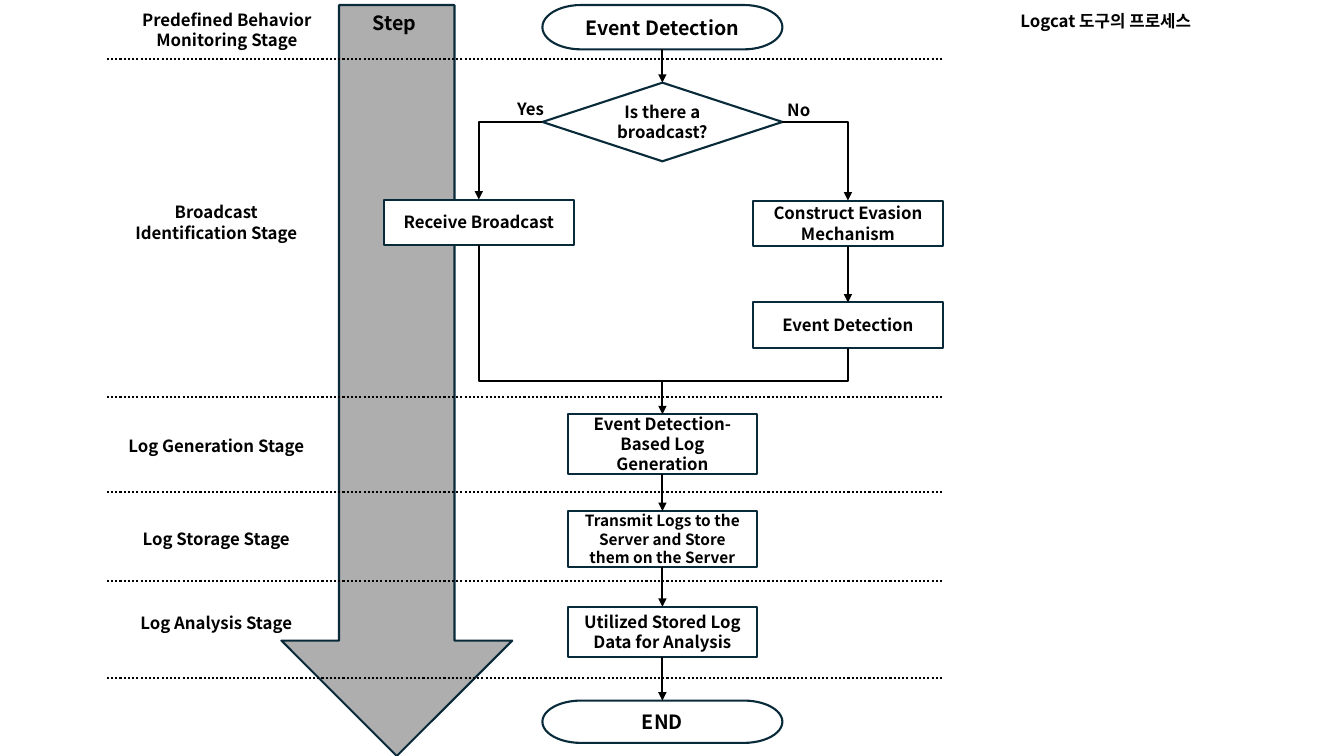
from lxml import etree
from pptx import Presentation
from pptx import util as u
from pptx.dml.color import RGBColor
from pptx.enum import dml, shapes, text
from pptx.oxml import ns

BLACK = RGBColor(0x00, 0x00, 0x00)
WHITE = RGBColor(0xFF, 0xFF, 0xFF)
NAVY = RGBColor(0x09, 0x2A, 0x39)
GREY = RGBColor(0xAE, 0xAE, 0xAE)
FONT = "Noto Sans CJK KR"
SCALE = 9144
TOP, LEFT, BOTTOM, RIGHT = range(4)
KIND = shapes.MSO_SHAPE
LINK = shapes.MSO_CONNECTOR


def px(*nums):
    return [u.Emu(n * SCALE) for n in nums]


def write(shape, words, size=12, align=text.PP_ALIGN.CENTER,
          anchor=text.MSO_ANCHOR.MIDDLE):
    frame = shape.text_frame
    frame.word_wrap = True
    frame.auto_size = text.MSO_AUTO_SIZE.NONE
    frame.vertical_anchor = anchor
    para = frame.paragraphs[0]
    para.alignment = align
    para.line_spacing = 1.0
    para.space_before = u.Pt(0)
    run = para.add_run()
    run.text = words
    font = run.font
    font.name, font.size, font.bold = FONT, u.Pt(size), True
    font.color.rgb = BLACK
    east = etree.SubElement(run._r.get_or_add_rPr(), ns.qn("a:ea"))
    east.set("typeface", FONT)


def label(slide, box, words, **form):
    write(slide.shapes.add_textbox(*px(*box)), words, **form)


def node(slide, box, words="", kind=KIND.RECTANGLE, fill=WHITE, size=12):
    shape = slide.shapes.add_shape(kind, *px(*box))
    shape.shadow.inherit = False
    shape.fill.solid()
    shape.fill.fore_color.rgb = fill
    shape.line.color.rgb = NAVY
    shape.line.width = u.Pt(1.5)
    if words:
        write(shape, words, size=size)
    return shape


def link(slide, start, end, bent=False, head=False, dash=None):
    kind = LINK.ELBOW if bent else LINK.STRAIGHT
    line = slide.shapes.add_connector(kind, *px(*start, *end))
    line.line.color.rgb = BLACK
    line.line.width = u.Pt(1.5)
    if dash:
        line.line.dash_style = dash
    props = line._element.spPr
    if bent:
        props.find(ns.qn("a:prstGeom")).set("prst", "bentConnector2")
    if head:
        tail = etree.SubElement(line.line._get_or_add_ln(), ns.qn("a:tailEnd"))
        tail.set("type", "triangle")
    etree.SubElement(props, ns.qn("a:effectLst"))
    return line


def side(shape, spot):
    x, y = shape.left // SCALE, shape.top // SCALE
    w, h = shape.width // SCALE, shape.height // SCALE
    return {TOP: (x + w // 2, y), LEFT: (x, y + h // 2),
            BOTTOM: (x + w // 2, y + h), RIGHT: (x + w, y + h // 2)}[spot]


def drop(slide, above, below):
    line = link(slide, side(above, BOTTOM), side(below, TOP), head=True)
    line.begin_connect(above, BOTTOM)
    line.end_connect(below, TOP)


def head(slide, box):
    title = slide.shapes.title
    title.left, title.top, title.width, title.height = px(*box)
    write(title, "Logcat 도구의 프로세스", align=text.PP_ALIGN.LEFT,
          anchor=text.MSO_ANCHOR.TOP)


def stages(slide, box):
    x, y, w, h = box
    node(slide, (x + 173, y, 229, h), kind=KIND.DOWN_ARROW, fill=GREY)
    label(slide, (x + 254, y + 1, 100, 34), "Step", size=14,
          align=text.PP_ALIGN.LEFT, anchor=text.MSO_ANCHOR.TOP)
    for dx, dy, wide, high, words in (
            (23, 0, 192, 49, "Predefined Behavior Monitoring Stage"),
            (11, 191, 195, 49, "Broadcast Identification Stage"),
            (11, 408, 195, 59, "Log Generation Stage"),
            (11, 500, 195, 59, "Log Storage Stage"),
            (11, 583, 195, 59, "Log Analysis Stage")):
        label(slide, (x + dx, y + dy, wide, high), words)
    for dy in (54, 389, 483, 571, 668):
        link(slide, (x, y + dy), (x + w, y + dy),
             dash=dml.MSO_LINE.ROUND_DOT)


def flow(slide, box):
    x, y, w, h = box
    mid = x + 276

    def wide(dy, high, words, kind=KIND.FLOWCHART_TERMINATOR, size=14):
        return node(slide, (mid - 119, y + dy, 238, high), words, kind,
                    size=size)

    def step(left, dy, high, words, size=12):
        return node(slide, (left, y + dy, 188, high), words, size=size)

    begin = wide(0, 44, "Event Detection")
    ask = wide(77, 78, "Is there a broadcast?", KIND.FLOWCHART_DECISION, 12)
    take = step(x, 193, 45, "Receive Broadcast")
    evade = step(x + w - 188, 194, 45, "Construct Evasion Mechanism")
    event = step(x + w - 188, 295, 45, "Event Detection")
    log = step(mid - 94, 406, 59, "Event Detection-Based Log Generation")
    store = step(mid - 94, 502, 56,
                 "Transmit Logs to the Server and Store them on the Server",
                 size=11)
    study = step(mid - 94, 597, 50, "Utilized Stored Log Data for Analysis")
    finish = wide(h - 42, 42, "END")

    for above, below in ((begin, ask), (evade, event), (log, store),
                         (store, study), (study, finish)):
        drop(slide, above, below)

    join = (mid, y + 373)
    for spot, branch, last in ((LEFT, take, take), (RIGHT, evade, event)):
        link(slide, side(ask, spot), side(branch, TOP), bent=True, head=True)
        link(slide, join, side(last, BOTTOM), bent=True)
    link(slide, join, side(log, TOP), head=True).end_connect(log, TOP)

    for dx, dy, words in ((122, 88, "Yes"), (390, 89, "No")):
        label(slide, (x + dx, y + dy, 70, 30), words,
              align=text.PP_ALIGN.LEFT, anchor=text.MSO_ANCHOR.TOP)


def main():
    deck = Presentation()
    deck.slide_width, deck.slide_height = px(1333, 750)
    slide = deck.slides.add_slide(deck.slide_layouts[5])
    head(slide, (1002, 6, 279, 30))
    stages(slide, (106, 5, 829, 745))
    flow(slide, (381, 5, 554, 732))
    deck.save("out.pptx")


if __name__ == "__main__":
    main()
